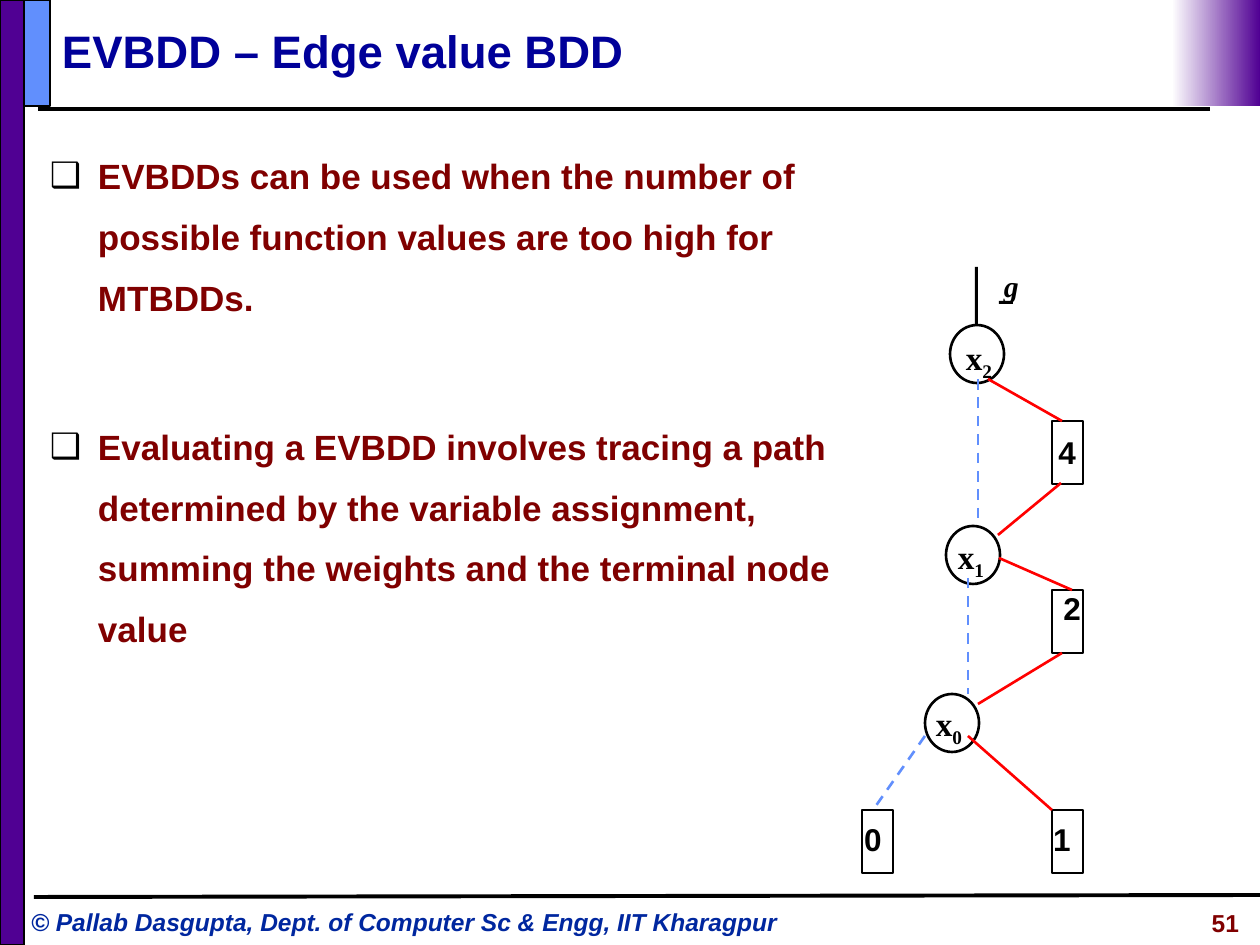
from lxml.etree import SubElement
from pptx import Presentation
from pptx.dml.color import RGBColor
from pptx.enum.dml import MSO_LINE
from pptx.enum.shapes import MSO_CONNECTOR, MSO_SHAPE
from pptx.enum.text import MSO_ANCHOR, MSO_AUTO_SIZE, PP_ALIGN
from pptx.oxml.ns import qn
from pptx.util import Emu, Pt

PX = 914400 / 126
BLACK = RGBColor(0x00, 0x00, 0x00)
WHITE = RGBColor(0xFF, 0xFF, 0xFF)
PURPLE = RGBColor(0x50, 0x00, 0x93)
SKY = RGBColor(0x61, 0x8F, 0xFD)
NAVY = RGBColor(0x00, 0x00, 0x99)
FOOTER_BLUE = RGBColor(0x00, 0x27, 0x9F)
MAROON = RGBColor(0x80, 0x00, 0x00)
RED = RGBColor(0xFF, 0x00, 0x00)


def px(n):
    return Emu(round(n * PX))


def add_run(p, text, size=18, font="Arial", color=BLACK, italic=False, sub=False):
    r = p.add_run()
    r.text = text
    r.font.size = Pt(size)
    r.font.name = font
    r.font.color.rgb = color
    r.font.bold = True
    r.font.italic = italic
    if sub:
        r.font._element.set("baseline", "-25000")


class Deck:
    serif = "Times New Roman"

    def __init__(self):
        self.prs = Presentation()
        self.prs.slide_width, self.prs.slide_height = px(1260), px(945)
        self.s = self.prs.slides.add_slide(self.prs.slide_layouts[6])

    def shape(self, kind, x, y, w, h, fill=None, line=None):
        sp = self.s.shapes.add_shape(kind, px(x), px(y), px(w), px(h))
        sp.shadow.inherit = False
        if fill is None:
            sp.fill.background()
        else:
            sp.fill.solid()
            sp.fill.fore_color.rgb = fill
        if line is None:
            sp.line.fill.background()
        else:
            sp.line.color.rgb = BLACK
            sp.line.width = Pt(line)
        return sp

    def line(self, x1, y1, x2, y2, color=BLACK, width=1.5, dashed=False):
        c = self.s.shapes.add_connector(
            MSO_CONNECTOR.STRAIGHT, px(x1), px(y1), px(x2), px(y2))
        SubElement(c._element.spPr, qn("a:effectLst"))
        c.line.color.rgb = color
        c.line.width = Pt(width)
        if dashed:
            c.line.dash_style = MSO_LINE.DASH

    def text(self, x, y, w, h, text="", align=PP_ALIGN.LEFT, inset=(13, 6),
             wrap=True, anchor=MSO_ANCHOR.TOP, spacing=None, **style):
        tf = self.s.shapes.add_textbox(px(x), px(y), px(w), px(h)).text_frame
        tf.word_wrap = wrap
        tf.vertical_anchor = anchor
        tf.margin_left = tf.margin_right = px(inset[0])
        tf.margin_top = tf.margin_bottom = px(inset[1])
        p = tf.paragraphs[0]
        p.alignment = align
        if spacing:
            p.line_spacing = spacing
        if text:
            add_run(p, text, **style)
        return tf

    def label(self, x, y, w, h, text, inset=(0, 0), **style):
        tf = self.text(x, y, w, h, text, PP_ALIGN.CENTER, inset,
                       wrap=False, spacing=0.9, **style)
        tf.auto_size = MSO_AUTO_SIZE.SHAPE_TO_FIT_TEXT
        return tf

    def bullets(self, x, y, w, h, items, gap):
        tf = self.text(x, y, w, h)
        for i, item in enumerate(items):
            p = tf.paragraphs[0] if i == 0 else tf.add_paragraph()
            p.line_spacing = 1.45
            if i:
                p.space_before = Pt(gap)
            pPr = p._p.get_or_add_pPr()
            pPr.set("marL", str(px(48)))
            pPr.set("indent", str(-px(48)))
            color = SubElement(pPr, qn("a:buClr"))
            SubElement(color, qn("a:srgbClr")).set("val", str(BLACK))
            SubElement(pPr, qn("a:buFont")).set("typeface", "Arial")
            SubElement(pPr, qn("a:buChar")).set("char", "❑")
            add_run(p, item, size=20, color=MAROON)

    def node(self, x, y, index, dx, dy):
        self.shape(MSO_SHAPE.OVAL, x, y, 54, 58, WHITE, 1.5)
        tf = self.label(x + dx, y + dy, 40, 40, "x", size=19, font=self.serif)
        add_run(tf.paragraphs[0], index, size=19, font=self.serif, sub=True)

    def box(self, x, y, value, dx, dy):
        self.shape(MSO_SHAPE.RECTANGLE, x, y, 31, 63, line=1.5)
        self.label(x + dx, y + dy, 30, 47, value, inset=(6, 6))


def main():
    d = Deck()

    # Frame: rules, side bars and corner fade
    d.line(38, 109, 1210, 109, width=2.25)
    d.shape(MSO_SHAPE.RECTANGLE, 0, 0, 24, 945, PURPLE, 1)
    d.line(34, 897, 1260, 895, width=2.25)
    d.shape(MSO_SHAPE.RECTANGLE, 24, 0, 26, 106, SKY, 1)
    corner = d.shape(MSO_SHAPE.RECTANGLE, 1172, 0, 88, 106, WHITE)
    corner.fill.gradient()
    corner.fill.gradient_angle = 180
    for stop, color, position in zip(corner.fill.gradient_stops, (PURPLE, WHITE), (0, 1)):
        stop.color.rgb = color
        stop.position = position

    # Title, body and footer
    d.text(49, 12, 1147, 77, "EVBDD – Edge value BDD", anchor=MSO_ANCHOR.MIDDLE,
           size=26, color=NAVY)
    d.bullets(37, 130, 845, 630, (
        "EVBDDs can be used when the number of possible function values "
        "are too high for MTBDDs.",
        "Evaluating a EVBDD involves tracing a path determined by the variable "
        "assignment, summing the weights and the terminal node value",
    ), gap=50)
    d.text(18, 901, 803, 43,
           "© Pallab Dasgupta, Dept. of Computer Sc & Engg, IIT Kharagpur",
           size=14, color=FOOTER_BLUE, italic=True)
    d.text(1031, 902, 221, 44, "51", PP_ALIGN.RIGHT, size=14, color=MAROON)

    # Root edge with its underlined function name
    d.label(1004, 272, 15, 33, "g", size=17, font=d.serif, italic=True)
    d.shape(MSO_SHAPE.RECTANGLE, 999, 301, 14, 3, BLACK)
    d.shape(MSO_SHAPE.RECTANGLE, 975, 267, 3, 58, BLACK)

    # Variable nodes: position, index, label offset
    for node in ((950, 325, "2", 9, 13), (946, 526, "1", 5, 11), (925, 694, "0", 4, 10)):
        d.node(*node)

    # Edge weights and terminals: position, value, label offset
    for box in ((1052, 421, "4", 0, 10), (1052, 590, "2", 5, -3),
                (1052, 810, "1", -5, 8), (862, 810, "0", -4, 8)):
        d.box(*box)

    # High edges are solid red, low edges dashed blue
    for edge in ((988, 379, 1062, 421), (1061, 483, 998, 535), (999, 558, 1072, 590),
                 (1062, 653, 978, 704), (968, 736, 1052, 810)):
        d.line(*edge, color=RED)
    for edge in ((978, 379, 978, 525), (968, 578, 968, 694), (925, 736, 873, 810)):
        d.line(*edge, color=SKY, dashed=True)

    d.prs.save("out.pptx")


if __name__ == "__main__":
    main()
